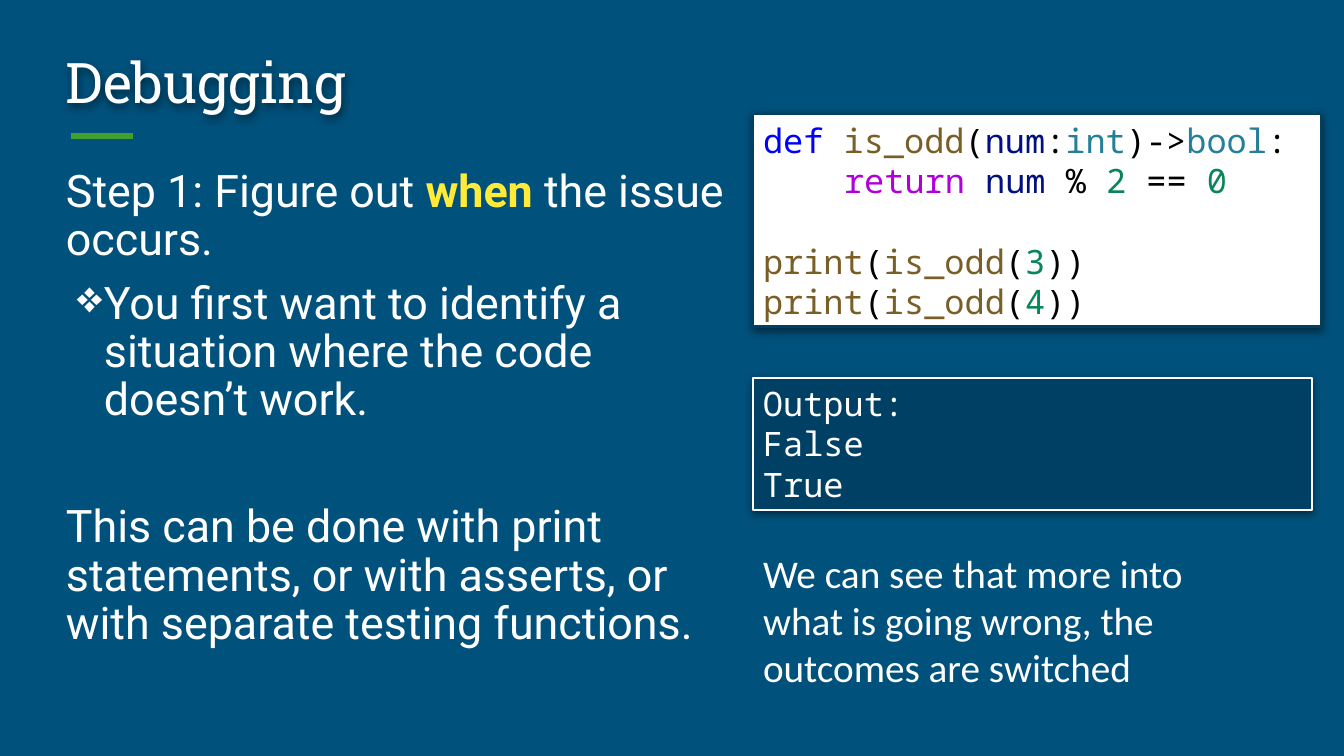
"""Build the Debugging slide: steps on the left, code and its output on the right."""
import pptx
import pptx.util
import pptx.dml.color
import pptx.enum.shapes
import pptx.enum.text
import pptx.oxml.ns
import lxml.etree

PX = 914400 / 134.4
WHITE, BLACK, NAVY = "FFFFFF", "000000", "004065"
CALL, NUMBER, NAME, KIND = "795E26", "098658", "001080", "267F99"


def print_call(value):
    """Return the coloured runs of one printed check."""
    return [("print", CALL), ("(", BLACK), ("is_odd", CALL), ("(", BLACK), (value, NUMBER), ("))", BLACK)]


TITLE = [{"runs": [("Debugging", WHITE)], "spacing": 0.9}]
STEPS = [
    {"runs": [("Step 1: Figure out ", WHITE), ("when ", "FFEB38", True), ("the issue occurs.", WHITE)],
     "spacing": 0.9},
    {"runs": [("You first want to identify a situation where the code doesn’t work.", WHITE)],
     "spacing": 0.9, "before": 8, "margin": 38, "hang": -27, "bullet": "❖"},
    {"runs": [("This can be done with print statements, or with asserts, "
               "or with separate testing functions.", WHITE)],
     "spacing": 0.9, "before": 42, "after": 12},
]
CODE = [
    {"runs": [("def ", "0000FF"), ("is_odd", CALL), ("(", BLACK), ("num", NAME), (":", BLACK),
              ("int", KIND), (")->", BLACK), ("bool", KIND), (":", BLACK)]},
    {"runs": [("return ", "AF00DB"), ("num", NAME), (" % ", BLACK), ("2", NUMBER),
              (" == ", BLACK), ("0", NUMBER)], "margin": 81},
    {"runs": print_call("3"), "before": 21.6},
    {"runs": print_call("4")},
]
OUTPUT = [{"runs": [(line, WHITE)]} for line in ("Output:", "False", "True")]
NOTE = [{"runs": [("We can see that more into what is going wrong, the outcomes are switched", WHITE)]}]

MIDDLE, TOP = pptx.enum.text.MSO_ANCHOR.MIDDLE, pptx.enum.text.MSO_ANCHOR.TOP
PARTS = [
    {"box": (56, 35, 1230, 101), "text": TITLE, "font": "Roboto Slab", "size": 30,
     "anchor": MIDDLE, "shadow": True},
    {"box": (56, 164, 681, 507), "text": STEPS, "font": "Roboto", "size": 24},
    {"box": (753, 114, 568, 213), "text": CODE, "font": "Noto Sans Mono", "size": 18,
     "anchor": MIDDLE, "shadow": True, "fill": WHITE, "line": (NAVY, 1.5)},
    {"box": (753, 378, 559, 132), "text": OUTPUT, "font": "Noto Sans Mono", "size": 18,
     "shadow": True, "fill": NAVY, "line": (WHITE, 0.75)},
    {"box": (753, 544, 500, 153), "text": NOTE, "font": "Calibri", "size": 21},
]
ACCENT = (71, 136, 133, 136)


def px(length):
    return round(length * PX)


def rgb(value):
    return pptx.dml.color.RGBColor.from_string(value)


def add_element(parent, tag, **attributes):
    return lxml.etree.SubElement(parent, pptx.oxml.ns.qn(tag), attributes)


def add_shadow(shape):
    shape.shadow.inherit = False
    effects = shape._element.spPr.find(pptx.oxml.ns.qn("a:effectLst"))
    outer = add_element(effects, "a:outerShdw", blurRad="57150", dist="19050",
                        dir="5400000", algn="ctr", rotWithShape="0")
    add_element(add_element(outer, "a:srgbClr", val=BLACK), "a:alpha", val="50000")


def write_paragraph(paragraph, content, font, size):
    paragraph.alignment = pptx.enum.text.PP_ALIGN.LEFT
    paragraph.line_spacing = content.get("spacing", 1.0)
    paragraph.space_before = pptx.util.Pt(content.get("before", 0))
    paragraph.space_after = pptx.util.Pt(content.get("after", 0))
    properties = paragraph._p.get_or_add_pPr()
    properties.set("marL", str(px(content.get("margin", 0))))
    properties.set("indent", str(px(content.get("hang", 0))))
    if "bullet" in content:
        add_element(add_element(properties, "a:buClr"), "a:srgbClr", val=WHITE)
        add_element(properties, "a:buChar", char=content["bullet"])
    for words, color, *bold in content["runs"]:
        run = paragraph.add_run()
        run.text = words
        run.font.name = font
        run.font.size = pptx.util.Pt(size)
        run.font.bold = bool(bold)
        run.font.color.rgb = rgb(color)


def add_part(slide, part):
    box = [px(length) for length in part["box"]]
    if "fill" in part:
        shape = slide.shapes.add_shape(pptx.enum.shapes.MSO_SHAPE.RECTANGLE, *box)
        shape.fill.solid()
        shape.fill.fore_color.rgb = rgb(part["fill"])
        color, width = part["line"]
        shape.line.color.rgb = rgb(color)
        shape.line.width = pptx.util.Pt(width)
    else:
        shape = slide.shapes.add_textbox(*box)
    if part.get("shadow"):
        add_shadow(shape)
    frame = shape.text_frame
    frame.word_wrap = True
    frame.vertical_anchor = part.get("anchor", TOP)
    frame.margin_left = frame.margin_right = px(10)
    frame.margin_top = frame.margin_bottom = px(5)
    for index, content in enumerate(part["text"]):
        paragraph = frame.add_paragraph() if index else frame.paragraphs[0]
        write_paragraph(paragraph, content, part["font"], part["size"])


def main():
    deck = pptx.Presentation()
    deck.slide_width, deck.slide_height = px(1344), px(756)
    slide = deck.slides.add_slide(deck.slide_layouts[6])
    slide.background.fill.solid()
    slide.background.fill.fore_color.rgb = rgb("00517C")
    accent = slide.shapes.add_connector(pptx.enum.shapes.MSO_CONNECTOR.STRAIGHT, *map(px, ACCENT))
    accent.line.color.rgb = rgb("419E2F")
    accent.line.width = pptx.util.Pt(3)
    add_element(accent._element.spPr, "a:effectLst")
    for part in PARTS:
        add_part(slide, part)
    deck.save("out.pptx")


if __name__ == "__main__":
    main()
